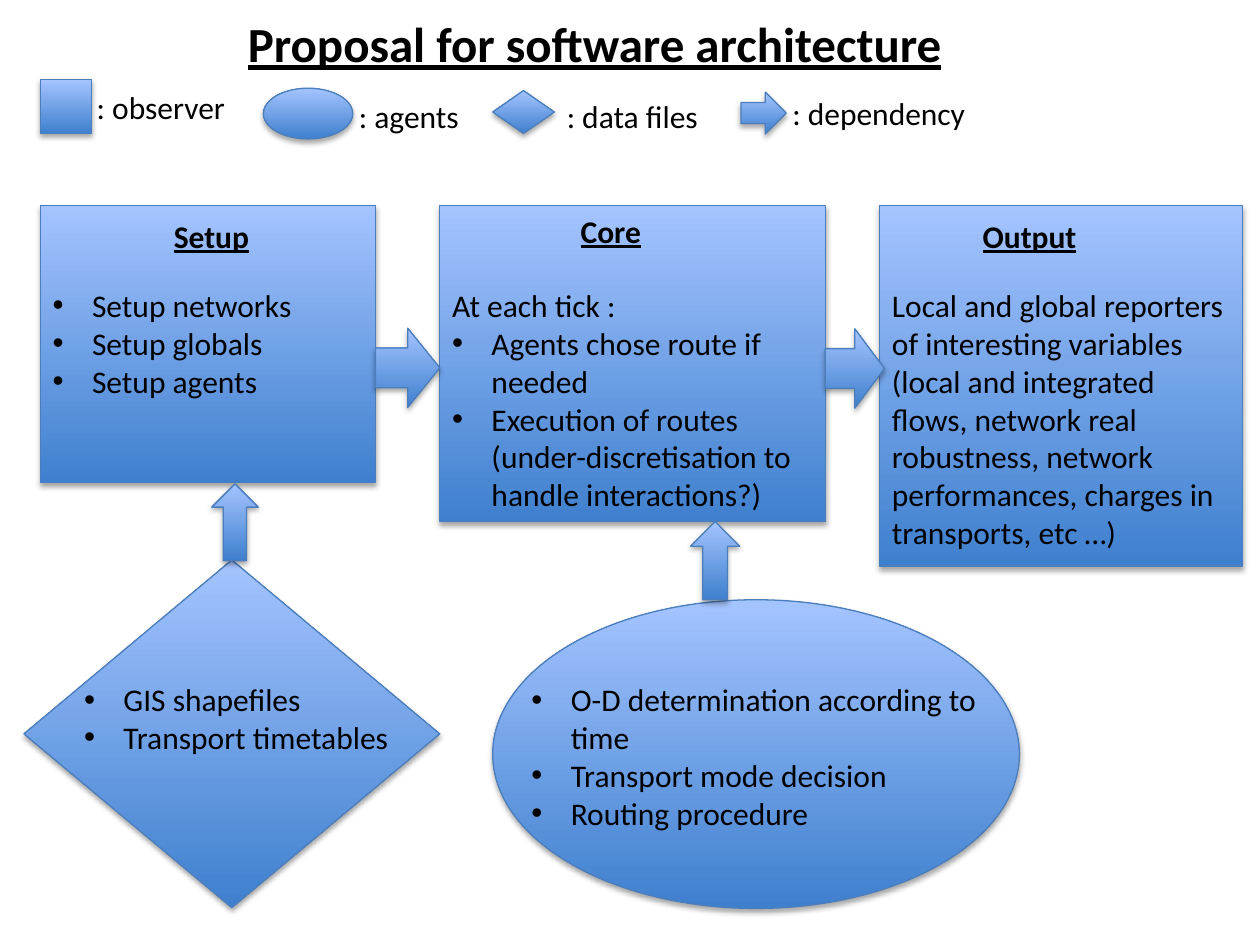
from lxml import etree
from pptx import Presentation
from pptx.dml.color import RGBColor
from pptx.enum import shapes, text
from pptx.oxml import ns
from pptx.util import Pt

COLORS = {"dark": "3F80CE", "light": "A4C4FF", "edge": "4B7EBC", "ink": "000000"}
KIND = shapes.MSO_SHAPE


def rgb(name):
    return RGBColor.from_string(COLORS[name])


class Diagram:
    font = "Calibri"
    body_size = 18
    title_size = 28
    indent = Pt(22.5)

    def __init__(self, slide):
        self.slide = slide

    def block(self, kind, left, top, width, height):
        block = self.slide.shapes.add_shape(kind, Pt(left), Pt(top), Pt(width), Pt(height))
        block.fill.gradient()
        block.fill.gradient_angle = 90
        for stop, shade in zip(block.fill.gradient_stops, ("dark", "light")):
            stop.color.rgb = rgb(shade)
        block.line.color.rgb = rgb("edge")
        block.line.width = Pt(0.75)
        self.cast_shadow(block)
        return block

    def cast_shadow(self, block):
        block.shadow.inherit = False
        effects = block._element.spPr.find(ns.qn("a:effectLst"))
        shadow = etree.SubElement(effects, ns.qn("a:outerShdw"), blurRad=str(Pt(3.1)),
                                  dist=str(Pt(1.8)), dir="5400000", rotWithShape="0")
        shade = etree.SubElement(shadow, ns.qn("a:srgbClr"), val=COLORS["ink"])
        etree.SubElement(shade, ns.qn("a:alpha"), val="35000")

    def label(self, wording, left, top, width, height, size=None, heading=False,
              wrap=False, bullets_from=None):
        label = self.slide.shapes.add_textbox(Pt(left), Pt(top), Pt(width), Pt(height))
        frame = label.text_frame
        frame.text = wording
        frame.word_wrap = wrap
        frame.auto_size = text.MSO_AUTO_SIZE.SHAPE_TO_FIT_TEXT
        for index, paragraph in enumerate(frame.paragraphs):
            if bullets_from is not None and index >= bullets_from:
                self.bullet(paragraph)
            for run in paragraph.runs:
                run.font.name = self.font
                run.font.size = Pt(size or self.body_size)
                run.font.color.rgb = rgb("ink")
                if heading:
                    run.font.bold = run.font.underline = True

    def bullet(self, paragraph):
        properties = paragraph._p.get_or_add_pPr()
        properties.set("marL", str(self.indent))
        properties.set("indent", str(-self.indent))
        etree.SubElement(properties, ns.qn("a:buFont"), typeface="Arial")
        etree.SubElement(properties, ns.qn("a:buChar"), char="•")


def main():
    deck = Presentation()
    deck.slide_width, deck.slide_height = Pt(720), Pt(540)
    diagram = Diagram(deck.slides.add_slide(deck.slide_layouts[6]))

    diagram.label("Proposal for software architecture", 134.6, 4.3, 417.6, 41,
                  size=diagram.title_size, heading=True)

    legend = [
        (KIND.RECTANGLE, (23, 45.4, 29.5, 31), ": observer", (48.2, 46.8, 88.6)),
        (KIND.OVAL, (150.5, 50.4, 51.1, 29), ": agents", (198, 52, 72.7)),
        (KIND.DIAMOND, (281.5, 51.8, 35.3, 24.5), ": data files", (316.8, 52, 90.7)),
        (KIND.RIGHT_ARROW, (423.4, 52.6, 25.9, 24), ": dependency", (445.7, 50.4, 114.5)),
    ]
    for kind, place, meaning, spot in legend:
        diagram.block(kind, *place)
        diagram.label(meaning, *spot, 29)

    panel_top, body_top = 117.5, 160
    panels = [
        ("Setup", 23, 191.5, 158.4, (92.2, 120.2, 58.3),
         "Setup networks\nSetup globals\nSetup agents", (152.6, 72.7), False, 0),
        ("Core", 251.3, 220.3, 180.7, (324.7, 117.5, 49.7),
         "At each tick :\nAgents chose route if needed\n"
         "Execution of routes (under-discretisation to handle interactions?)",
         (211.7, 138.2), True, 1),
        ("Output", 502.6, 207.4, 206, (554.4, 120.2, 68.4),
         "Local and global reporters of interesting variables (local and integrated flows, "
         "network real robustness, network performances, charges in transports, etc …)",
         (207.4, 160), True, None),
    ]
    for name, left, width, height, spot, body, extent, wrap, bullets_from in panels:
        diagram.block(KIND.RECTANGLE, left, panel_top, width, height)
        diagram.label(name, *spot, 29, heading=True)
        diagram.label(body, left, body_top, *extent, wrap=wrap, bullets_from=bullets_from)

    inputs_top = 385.2
    diagram.block(KIND.OVAL, 281.5, 342.7, 301, 176.4)
    diagram.label("O-D determination according to time\nTransport mode decision\n"
                  "Routing procedure", 296.6, inputs_top, 274.3, 94.3, wrap=True, bullets_from=0)
    diagram.block(KIND.DIAMOND, 13.7, 320, 237.6, 198.7)
    diagram.label("GIS shapefiles\nTransport timetables", 41, inputs_top, 192.2, 51,
                  bullets_from=0)

    dependencies = [
        (KIND.RIGHT_ARROW, 214.6, 187.5, 36.7, 45.4),
        (KIND.RIGHT_ARROW, 471.6, 187.9, 33.8, 45.4),
        (KIND.UP_ARROW, 394.6, 298.1, 28.1, 44.6),
        (KIND.UP_ARROW, 121, 276.5, 26.6, 43.9),
    ]
    for dependency in dependencies:
        diagram.block(*dependency)

    deck.save("out.pptx")


if __name__ == "__main__":
    main()
